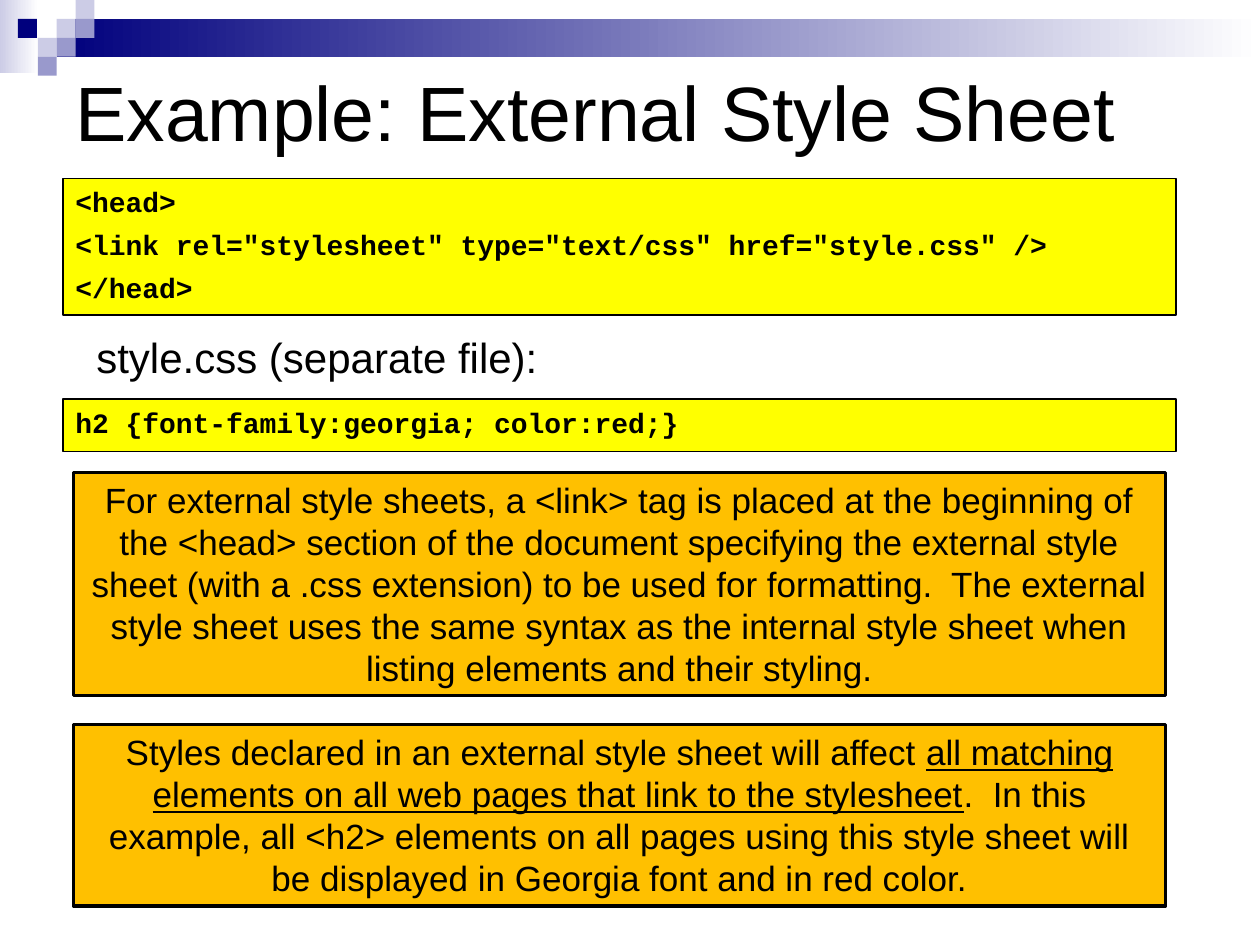
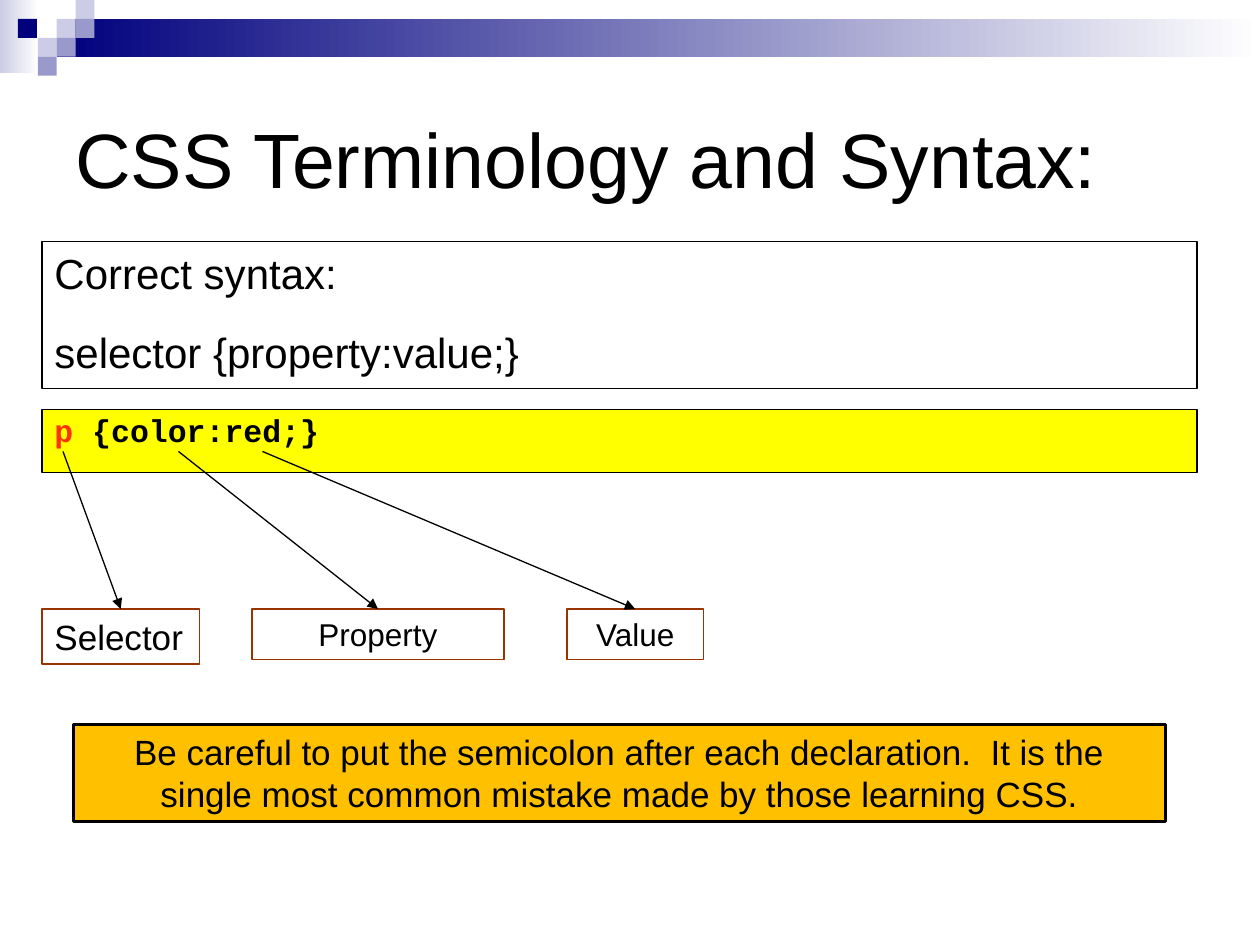
"""Build two slides on external style sheets and the syntax of CSS."""
import dataclasses

import lxml.etree
import pptx
import pptx.dml.color
import pptx.enum.dml
import pptx.enum.shapes
import pptx.enum.text
import pptx.oxml.ns
import pptx.util

Pt = pptx.util.Pt
Color = pptx.dml.color.RGBColor.from_string
Shape = pptx.enum.shapes.MSO_SHAPE
Align = pptx.enum.text.PP_ALIGN
Anchor = pptx.enum.text.MSO_ANCHOR
qn = pptx.oxml.ns.qn


@dataclasses.dataclass(frozen=True)
class Theme:
    """Colours, fonts and type sizes of both slides."""
    black: str = "000000"
    white: str = "FFFFFF"
    navy: str = "00007D"
    mid: str = "9999CC"
    pale: str = "CCCCE6"
    yellow: str = "FFFF00"
    amber: str = "FFC000"
    brown: str = "993300"
    red: str = "FF3300"
    sans: str = "Arial"
    mono: str = "Courier New"
    title: int = 44
    lead: int = 24
    note: int = 20
    label: int = 18
    code: int = 16


look = Theme()
plain = {"name": look.sans, "bold": False, "underline": False}
mono = {"name": look.mono, "bold": True, "size": Pt(look.code)}
lead = {"size": Pt(look.lead)}
yellow = {"fill": look.yellow, "line": look.black}
amber = {"fill": look.amber, "line": look.black, "width": 2,
         "align": Align.CENTER, "font": {"size": Pt(look.note)}}


def paint(group, area, color, fade=None):
    """Add a borderless rectangle, in one colour or fading to another."""
    part = group.shapes.add_shape(Shape.RECTANGLE, *map(Pt, area))
    part.shadow.inherit = False
    part.line.fill.background()
    if fade:
        part.fill.gradient()
        part.fill.gradient_angle = 0
        for stop, tone in zip(part.fill.gradient_stops, (color, fade)):
            stop.color.rgb = Color(tone)
    else:
        part.fill.solid()
        part.fill.fore_color.rgb = Color(color)


def write(slide, area, paras, font, fill=None, line=None, width=0.75,
          align=Align.LEFT, anchor=Anchor.TOP, gap=0, lead=None):
    """Add a box of text; each paragraph is a list of (text, format) runs."""
    if line:
        box = slide.shapes.add_shape(Shape.RECTANGLE, *map(Pt, area))
        box.shadow.inherit = False
        box.line.color.rgb = Color(line)
        box.line.width = Pt(width)
    else:
        box = slide.shapes.add_textbox(*map(Pt, area))
    if fill:
        box.fill.solid()
        box.fill.fore_color.rgb = Color(fill)
    else:
        box.fill.background()
    frame = box.text_frame
    frame.word_wrap = True
    frame.vertical_anchor = anchor
    for rank, runs in enumerate(paras):
        para = frame.add_paragraph() if rank else frame.paragraphs[0]
        para.alignment = align
        para.line_spacing = lead
        if rank:
            para.space_before = Pt(gap)
        for text, extra in runs:
            run = para.add_run()
            run.text = text
            values = {**plain, "color": look.black, **font, **extra}
            run.font.color.rgb = Color(values.pop("color"))
            for key, value in values.items():
                setattr(run.font, key, value)
    return box


deck = pptx.Presentation()
deck.slide_width, deck.slide_height = Pt(720), Pt(540)

unit = 10.8
tiles = [(3, 1, look.pale), (4, 0, look.pale), (4, 1, look.mid),
         (2, 2, look.pale), (0.95, 1, look.navy), (3, 2, look.mid),
         (2, 3, look.mid)]
heads = [("Example: External Style Sheet", 30.24, 66.24),
         ("CSS Terminology and Syntax:", 36, 108)]
slides = []
for text, top, height in heads:
    slide = deck.slides.add_slide(deck.slide_layouts[6])
    group = slide.shapes.add_group_shape()
    paint(group, (0, 0, 22, 42), look.pale, look.white)
    paint(group, (32.4, unit, 687.6, 21.6), look.navy, look.white)
    for col, row, color in tiles:
        paint(group, (col * unit, row * unit, unit, unit), color)
    write(slide, (36, top, 648, height), [[(text, {})]],
          {"size": Pt(look.title)}, anchor=Anchor.MIDDLE)
    slides.append(slide)
sheet, syntax = slides

head = ["<head>",
        '<link rel="stylesheet" type="text/css" href="style.css" />',
        "</head>"]
write(sheet, (36, 102, 636, 78), [[(text, {})] for text in head], mono,
      gap=5.3, **yellow)
write(sheet, (48, 186, 288, 36), [[("style.css (separate file):", {})]], lead)
write(sheet, (36, 228, 636, 30),
      [[("h2 {font-family:georgia; color:red;}", {})]], mono, **yellow)
write(sheet, (42, 270, 624, 127.5), [[(
    "For external style sheets, a <link> tag is placed at the beginning of "
    "the <head> section of the document specifying the external style sheet "
    "(with a .css extension) to be used for formatting.  The external style "
    "sheet uses the same syntax as the internal style sheet when listing "
    "elements and their styling.", {})]], **amber)
write(sheet, (42, 414, 624, 103.7), [[
    ("Styles declared in an external style sheet will affect ", {}),
    ("all matching elements on all web pages that link to the stylesheet",
     {"underline": True}),
    (".  In this example, all <h2> elements on all pages using this style "
     "sheet will be displayed in Georgia font and in red color.", {})]],
      **amber)

write(syntax, (24, 138, 660, 84),
      [[("Correct syntax:", {})], [("selector {property:value;}", {})]],
      lead, line=look.black, gap=16.4)
write(syntax, (24, 234, 660, 36),
      [[("p", {"color": look.red}), (" {color:red;}", {})]],
      {**mono, "size": Pt(look.label)}, lead=0.9, **yellow)

terms = [("Selector", 24, 90, 31.5, look.note, Align.LEFT, 36),
         ("Property", 144, 144, 29, look.label, Align.CENTER, 102),
         ("Value", 324, 78, 29, look.label, Align.CENTER, 150)]
for text, left, width, height, size, align, start in terms:
    term = write(syntax, (left, 348, width, height), [[(text, {})]],
                 {"size": Pt(size)}, line=look.brown, align=align)
    arrow = syntax.shapes.add_connector(
        pptx.enum.shapes.MSO_CONNECTOR.STRAIGHT,
        Pt(start), Pt(258), Pt(left + width / 2), Pt(348))
    arrow.end_connect(term, 0)
    arrow.line.color.rgb = Color(look.black)
    arrow.line.width = Pt(0.75)
    stroke = arrow.line.fill._xPr
    lxml.etree.SubElement(stroke, qn("a:tailEnd"), type="triangle")
    lxml.etree.SubElement(arrow._element.spPr, qn("a:effectLst"))

write(syntax, (42, 414, 624, 55.5), [[(
    "Be careful to put the semicolon after each declaration.  It is the "
    "single most common mistake made by those learning CSS.", {})]], **amber)

deck.save("out.pptx")
